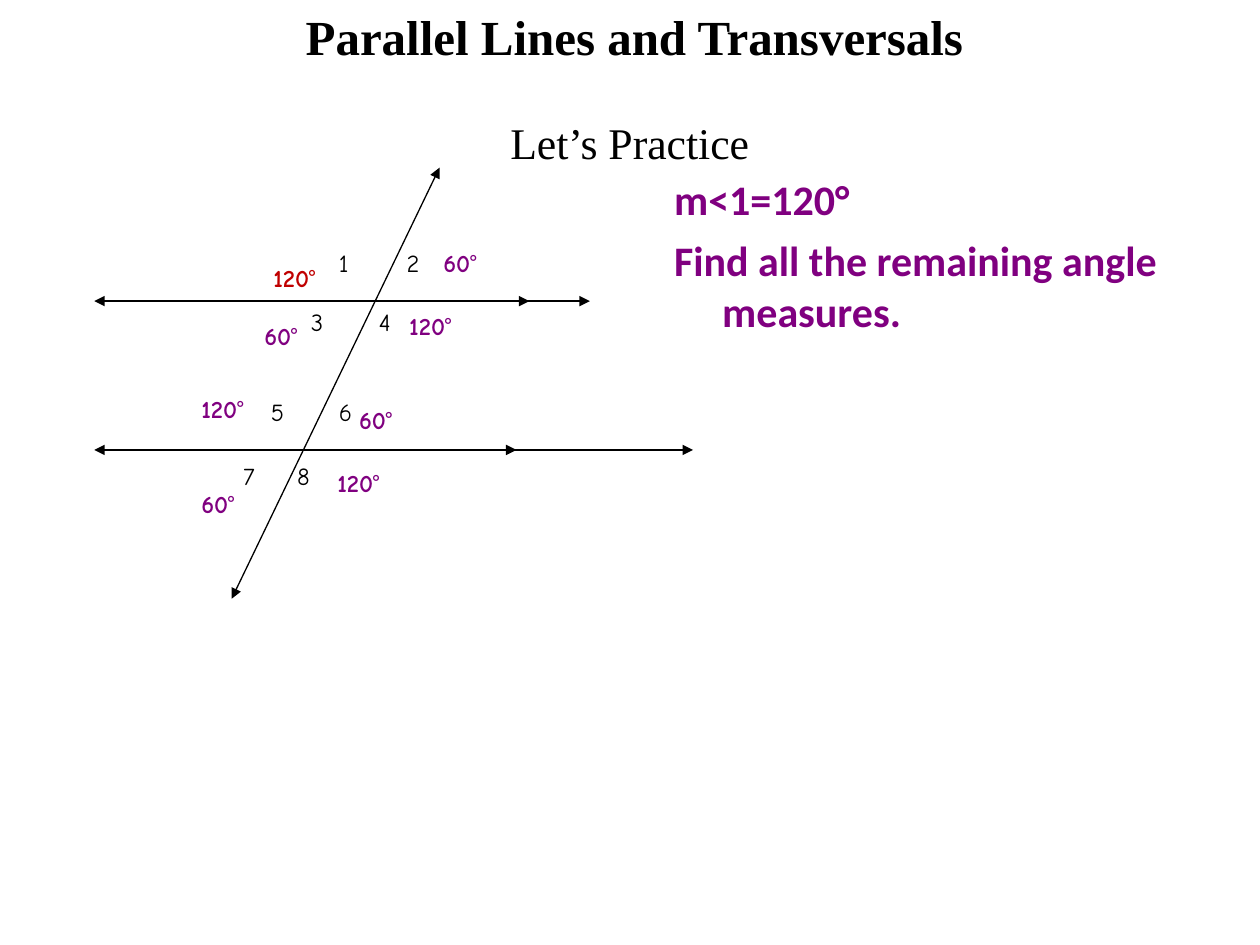
import pptx
import pptx.dml.color
import pptx.enum.shapes
import pptx.enum.text
import pptx.oxml.ns
import pptx.util
from lxml import etree

Cm = pptx.util.Cm
Pt = pptx.util.Pt
ALIGN = pptx.enum.text.PP_ALIGN
ANCHOR = pptx.enum.text.MSO_ANCHOR

COLOURS = {"black": "000000", "purple": "800080", "red": "C00000"}
TITLE = {"name": "Times New Roman", "size": Pt(28), "bold": True}
SUBTITLE = {"name": "Times New Roman", "size": Pt(25), "bold": False}
TASK = {"name": "Calibri", "size": Pt(24), "bold": True}
LABEL = {"name": "Comic Neue", "size": Pt(14), "bold": False}

LABEL_HEIGHT = 0.86
UPPER_Y, LOWER_Y = 6.07, 9.07
LINE_LEFT = 1.9

# number, left, top of the number, then measure, left, top, colour
ANGLES = [
    ("1", 6.58, 4.88, "120", 5.26, 5.18, "red"),
    ("2", 7.95, 4.88, "60", 8.69, 4.88, "purple"),
    ("3", 6.02, 6.07, "60", 5.08, 6.35, "purple"),
    ("4", 7.39, 6.07, "120", 8.0, 6.15, "purple"),
    ("5", 5.21, 7.87, "120", 3.81, 7.82, "purple"),
    ("6", 6.58, 7.87, "60", 6.99, 8.05, "purple"),
    ("7", 4.65, 9.17, "60", 3.81, 9.73, "purple"),
    ("8", 5.74, 9.17, "120", 6.55, 9.32, "purple"),
]
MEASURE_WIDTHS = {"60": 1.47, "120": 2.11}

# start, end, arrowheads
LINES = [
    ((LINE_LEFT, UPPER_Y), (11.89, UPPER_Y), ("headEnd", "tailEnd")),
    ((LINE_LEFT, LOWER_Y), (13.97, LOWER_Y), ("headEnd", "tailEnd")),
    ((8.86, 3.38), (4.67, 12.07), ("headEnd", "tailEnd")),
    ((9.3, LOWER_Y), (10.41, LOWER_Y), ("tailEnd",)),
    ((9.58, UPPER_Y), (10.67, UPPER_Y), ("tailEnd",)),
]


def rgb(colour):
    return pptx.dml.color.RGBColor.from_string(COLOURS[colour])


class Lesson:
    """Holds the current slide and draws its elements, with lengths in cm."""

    def __init__(self, slide):
        self.slide = slide

    def text(self, place, paragraphs, style, colour="black", wrap=True,
             anchor=ANCHOR.TOP, align=ALIGN.LEFT, hanging=0):
        """Each paragraph is a list of (text, font changes) spans."""
        box = self.slide.shapes.add_textbox(*map(Cm, place))
        frame = box.text_frame
        frame.word_wrap = wrap
        frame.vertical_anchor = anchor
        for index, spans in enumerate(paragraphs):
            para = frame.paragraphs[0] if index == 0 else frame.add_paragraph()
            para.alignment = align
            if index:
                para.space_before = Pt(6)
            if hanging:
                properties = para._p.get_or_add_pPr()
                properties.set("marL", str(Cm(hanging)))
                properties.set("indent", str(-Cm(hanging)))
            for content, changes in spans:
                span = para.add_run()
                span.text = content
                for key, value in {**style, **changes}.items():
                    setattr(span.font, key, value)
                span.font.color.rgb = rgb(colour)

    def angle(self, number, left, top, measure, measure_left, measure_top, colour):
        self.text((left, top, 1.09, LABEL_HEIGHT), [[(number, {})]], LABEL)
        place = (measure_left, measure_top, MEASURE_WIDTHS[measure], LABEL_HEIGHT)
        self.text(place, [[(measure, {"bold": True}), ("°", {})]], LABEL, colour)

    def line(self, start, end, heads):
        connector = self.slide.shapes.add_connector(
            pptx.enum.shapes.MSO_CONNECTOR.STRAIGHT, *map(Cm, start + end))
        connector.line.width = Pt(0.75)
        connector.line.color.rgb = rgb("black")
        outline = connector.line._get_or_add_ln()
        for head in heads:
            etree.SubElement(outline, pptx.oxml.ns.qn("a:" + head), type="triangle")
        etree.SubElement(connector._element.spPr, pptx.oxml.ns.qn("a:effectLst"))


def main():
    deck = pptx.Presentation()
    deck.slide_width, deck.slide_height = Cm(25.4), Cm(19.05)
    lesson = Lesson(deck.slides.add_slide(deck.slide_layouts[6]))

    lesson.text((1.9, 2.16, 21.59, 1.4), [[("Let’s Practice", {})]], SUBTITLE,
                anchor=ANCHOR.MIDDLE, align=ALIGN.CENTER)
    task = ["m<1=120°", "Find all the remaining angle measures."]
    lesson.text((13.34, 3.38, 11, 3.81), [[(item, {})] for item in task], TASK,
                "purple", hanging=0.97)
    for line in LINES:
        lesson.line(*line)
    for angle in ANGLES:
        lesson.angle(*angle)
    lesson.text((5.87, 0, 13.84, 1.45), [[("Parallel Lines and Transversals", {})]],
                TITLE, wrap=False, align=ALIGN.CENTER)

    deck.save("out.pptx")


if __name__ == "__main__":
    main()
